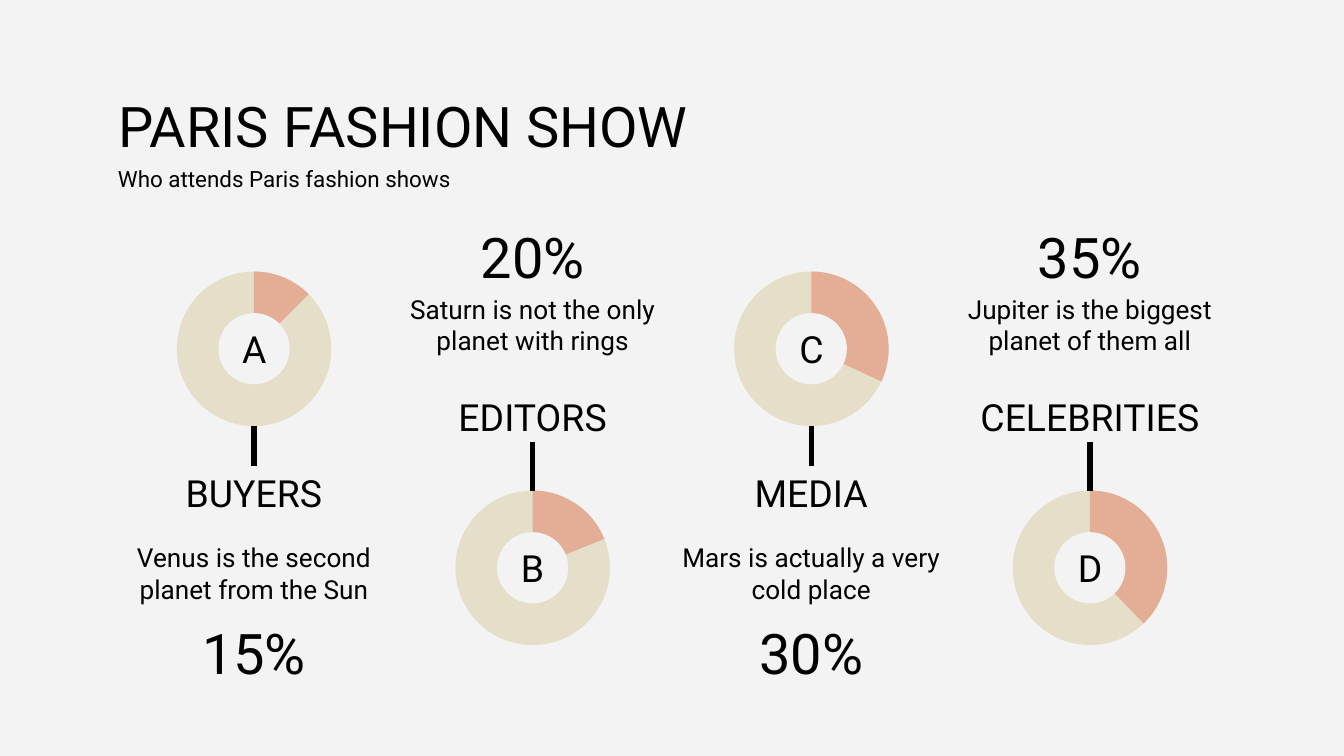
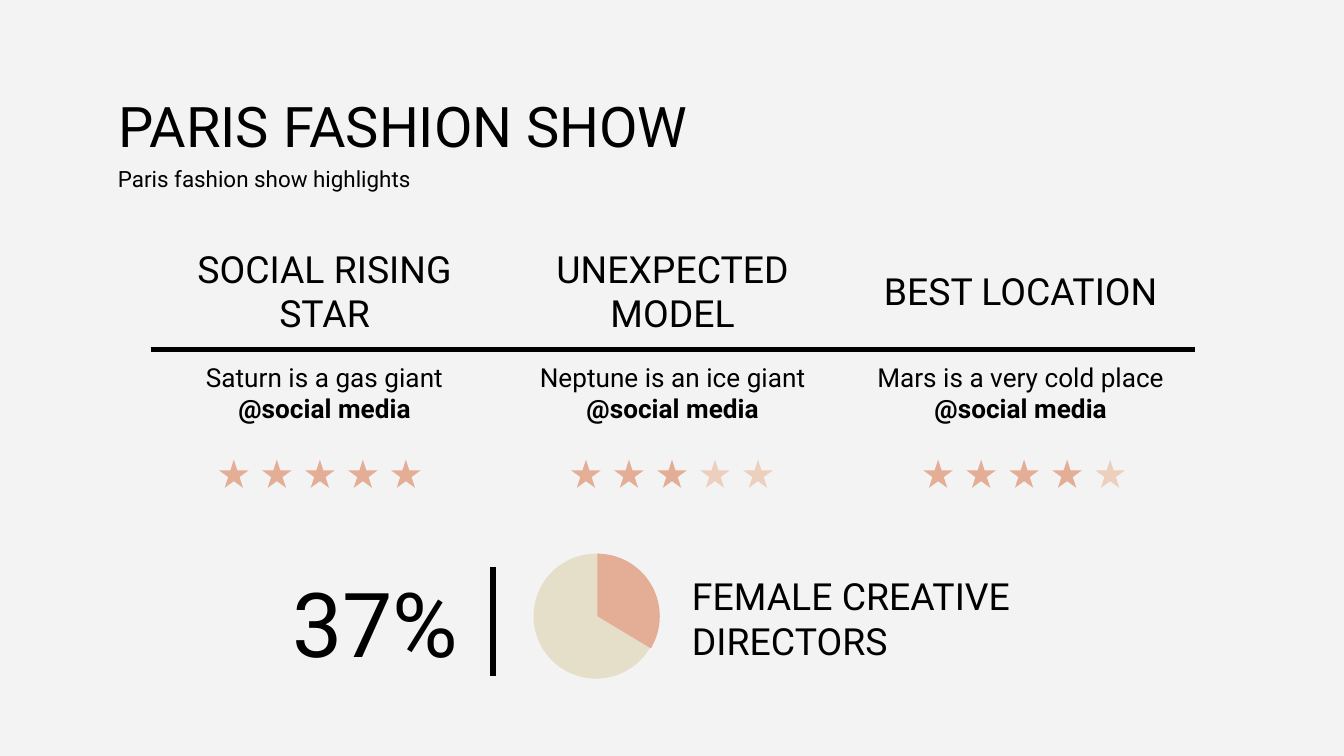
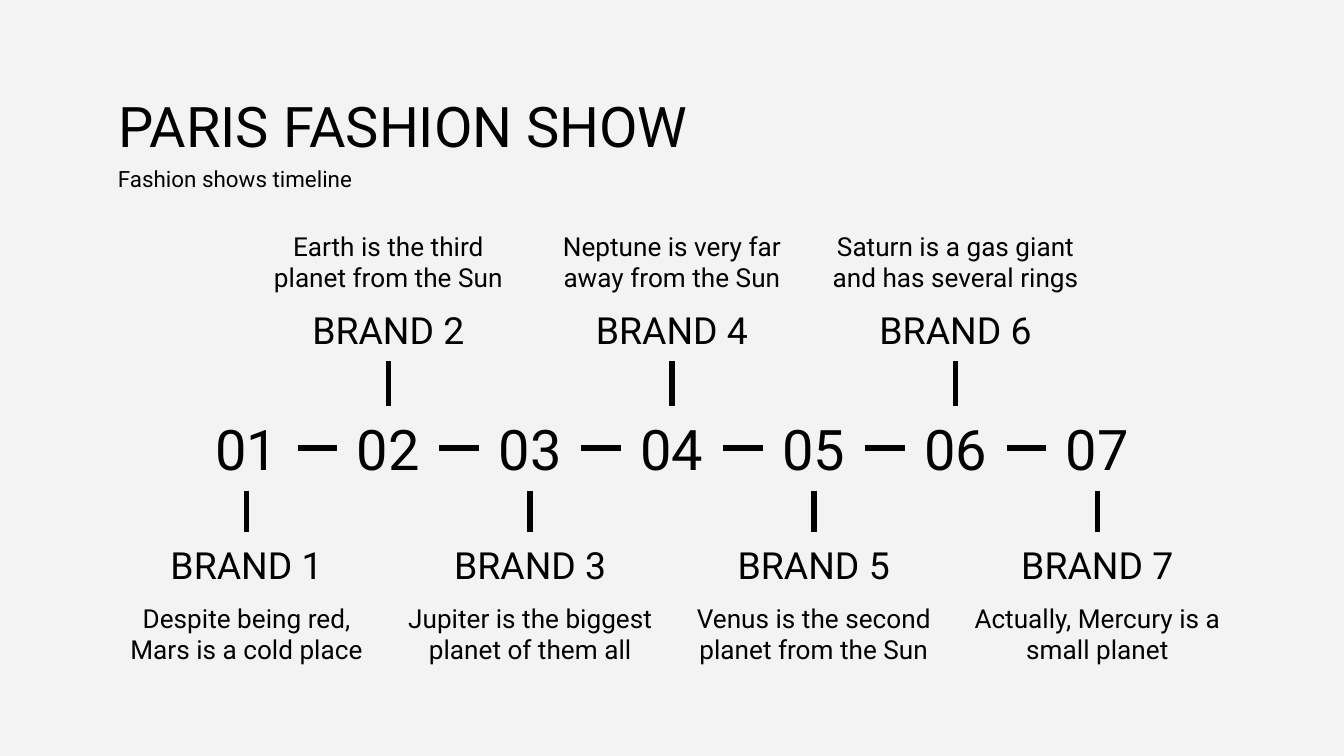
from dataclasses import dataclass

from lxml import etree
from pptx import Presentation
from pptx import util as u
from pptx.dml.color import RGBColor
from pptx.enum import shapes, text
from pptx.oxml import ns


@dataclass(frozen=True)
class Theme:
    font: str = "Roboto"
    ink: str = "000000"
    paper: str = "F3F3F3"
    sand: str = "E5DEC9"
    rose: str = "E3AD96"
    pale: str = "ECCFBC"
    huge: int = 48
    big: int = 30
    head: int = 20
    body: int = 14
    small: int = 12
    line: int = 3


T = Theme()
KIND = shapes.MSO_SHAPE
LEFT, MID, RIGHT = text.PP_ALIGN.LEFT, text.PP_ALIGN.CENTER, text.PP_ALIGN.RIGHT
TOP, CTR, BASE = text.MSO_ANCHOR.TOP, text.MSO_ANCHOR.MIDDLE, text.MSO_ANCHOR.BOTTOM


def put(page, box, words="", size=T.body, align=MID, anchor=CTR, kind=None, fill=None):
    """Place a text box, the title or a preset shape, and write in it."""
    area = [u.Inches(n) for n in box]
    if kind == "title":
        item = page.shapes.title
        item.left, item.top, item.width, item.height = area
    elif kind is None:
        item = page.shapes.add_textbox(*area)
    else:
        item = page.shapes.add_shape(kind, *area)
        item.shadow.inherit = False
        item.line.fill.background()
        if fill:
            item.fill.solid()
            item.fill.fore_color.rgb = RGBColor.from_string(fill)
        else:
            item.fill.background()
    if words:
        frame = item.text_frame
        frame.word_wrap = True
        frame.auto_size = text.MSO_AUTO_SIZE.NONE
        frame.vertical_anchor = anchor
        frame.margin_left = frame.margin_right = u.Inches(0.1)
        frame.margin_top = frame.margin_bottom = u.Inches(0.1)
        para = frame.paragraphs[0]
        para.alignment = align
        run = para.add_run()
        run.text = words
        run.font.name, run.font.size = T.font, u.Pt(size)
        run.font.color.rgb = RGBColor.from_string(T.ink)
    return item


def rule(page, *ends):
    """Draw a straight black line from x, y to x, y."""
    line = page.shapes.add_connector(
        shapes.MSO_CONNECTOR.STRAIGHT, *[u.Inches(n) for n in ends])
    line.line.width = u.Pt(T.line)
    line.line.color.rgb = RGBColor.from_string(T.ink)
    etree.SubElement(line._element.spPr, ns.qn("a:effectLst"))
    return line


# Widescreen page, 16 to 9
deck = Presentation()
deck.slide_width = u.Inches(10)
deck.slide_height = u.Inches(10 * 9 / 16)
back = deck.slide_master.background.fill
back.solid()
back.fore_color.rgb = RGBColor.from_string(T.paper)

# Titles and subtitles
pages = []
for sub in ("Who attends Paris fashion shows", "Paris fashion show highlights",
            "Fashion shows timeline"):
    page = deck.slides.add_slide(deck.slide_layouts[5])
    put(page, (0.78, 0.58, 8.44, 0.63), "PARIS FASHION SHOW", T.big, LEFT, TOP, "title")
    put(page, (0.78, 1.13, 8.44, 0.32), sub, T.small, LEFT, TOP)
    pages.append(page)
guests, stars, times = pages

# Slide 1: one ring per guest group, alternately above and below its text
groups = [
    ("A", "BUYERS", "15%", "Venus is the second planet from the Sun", 45),
    ("B", "EDITORS", "20%", "Saturn is not the only planet with rings", 68),
    ("C", "MEDIA", "30%", "Mars is actually a very cold place", 115),
    ("D", "CELEBRITIES", "35%", "Jupiter is the biggest planet of them all", 136),
]
for i, (mark, name, share, note, sweep) in enumerate(groups):
    mid = 1.89 + 6.22 * i / 3
    left = mid - 1.1
    high = i % 2 == 0
    ring, label, body, top = (2.02, 3.47, 3.93, 4.67) if high else (3.65, 2.83, 1.99, 1.72)
    area = (mid - 1.15 / 2, ring, 1.15, 1.15)
    put(guests, area, kind=KIND.OVAL, fill=T.sand)
    wedge = put(guests, area, kind=KIND.PIE, fill=T.rose)
    wedge.adjustments[0] = 162
    wedge.adjustments[1] = (162 + sweep * 0.6) % 216
    put(guests, (mid - 0.53 / 2, ring + 0.31, 0.53, 0.53), mark, T.head,
        kind=KIND.OVAL, fill=T.paper)
    put(guests, (left, top, 2.2, 0.37), share, T.big, kind=KIND.RECTANGLE)
    put(guests, (left, body, 2.2, 0.76), note, anchor=TOP if high else BASE,
        kind=KIND.RECTANGLE)
    tag = put(guests, (left, label, 2.2, 0.46), name, T.head,
              anchor=BASE if high else TOP, kind=KIND.RECTANGLE)
    edge = ring + 1.15 if high else ring
    rule(guests, mid, edge, mid, label).end_connect(tag, 0 if high else 2)

# Slide 2: table of awards
awards = [
    ("SOCIAL RISING STAR", "Saturn is a gas giant", 5),
    ("UNEXPECTED MODEL", "Neptune is an ice giant", 3),
    ("BEST LOCATION", "Mars is a very cold place", 4),
]
grid = stars.shapes.add_table(2, 3, u.Inches(1.12), u.Inches(1.75),
                              u.Inches(7.77), u.Inches(1.32)).table
grid.first_row = grid.horz_banding = False
for col, (name, note, score) in enumerate(awards):
    grid.columns[col].width = u.Inches(2.59)
    rows = [[(name, T.head, False)],
            [(note, T.body, False), ("@social media", T.body, True)]]
    for row, lines in enumerate(rows):
        cell = grid.cell(row, col)
        cell.vertical_anchor = CTR
        cell.margin_left = cell.margin_right = u.Inches(0.1)
        cell.margin_top = cell.margin_bottom = u.Inches(0.1)
        for n, (words, size, bold) in enumerate(lines):
            frame = cell.text_frame
            para = frame.add_paragraph() if n else frame.paragraphs[0]
            para.alignment = MID
            run = para.add_run()
            run.text = words
            run.font.name, run.font.size, run.font.bold = T.font, u.Pt(size), bold
            run.font.color.rgb = RGBColor.from_string(T.ink)
        # Only the edge between the two rows is drawn
        props = cell._tc.get_or_add_tcPr()
        for side in "LRTB":
            edge = etree.SubElement(props, ns.qn("a:ln" + side), w=str(u.Pt(T.line)))
            if side == "BT"[row]:
                solid = etree.SubElement(edge, ns.qn("a:solidFill"))
                etree.SubElement(solid, ns.qn("a:srgbClr"), val=T.ink)
            else:
                etree.SubElement(edge, ns.qn("a:noFill"))
        cell.fill.background()
    # Star rating
    for n in range(5):
        put(stars, (1.63 + 2.62 * col + 0.32 * n, 3.42, 0.22, 0.21),
            kind=KIND.STAR_5_POINT, fill=T.rose if n < score else T.pale)
for row in grid.rows:
    row.height = u.Inches(0.66)

# Share of female directors
put(stars, (1.86, 4.22, 1.65, 0.81), "37%", T.huge, RIGHT)
rule(stars, 3.67, 5.03, 3.67, 4.22)
put(stars, (3.97, 4.12, 0.93, 0.93), kind=KIND.OVAL, fill=T.sand)
part = put(stars, (3.98, 4.12, 0.93, 0.93), kind=KIND.PIE, fill=T.rose)
part.adjustments[0] = 162
part.adjustments[1] = (162 + 121 * 0.6) % 216
put(stars, (5.05, 4.22, 3.09, 0.81), "FEMALE CREATIVE DIRECTORS", T.head, LEFT, BASE)

# Slide 3: timeline, odd steps below and even steps above
steps = [
    "Despite being red, Mars is a cold place",
    "Earth is the third planet from the Sun",
    "Jupiter is the biggest planet of them all",
    "Neptune is very far away from the Sun",
    "Venus is the second planet from the Sun",
    "Saturn is a gas giant and has several rings",
    "Actually, Mercury is a small planet",
]
last = None
for i, note in enumerate(steps):
    mid = 5 + 2.11 * (i - 3) / 2
    left = mid - 2.11 / 2
    low = i % 2 == 0
    label, body = (3.96, 4.4) if low else (2.21, 1.63)
    num = put(times, (mid - 0.38, 3.02, 0.76, 0.63), f"{i + 1:02}", T.big)
    tag = put(times, (left, label, 2.11, 0.48), f"BRAND {i + 1}", T.head)
    put(times, (left, body, 2.11, 0.63), note)
    stem = rule(times, mid, 3.02, mid, label)
    stem.begin_connect(num, 2 if low else 0)
    stem.end_connect(tag, 0 if low else 2)
    if last:
        dash = rule(times, mid - 0.67, 3.33, mid - 0.38, 3.33)
        dash.begin_connect(last, 3)
        dash.end_connect(num, 1)
    last = num

deck.save("out.pptx")
